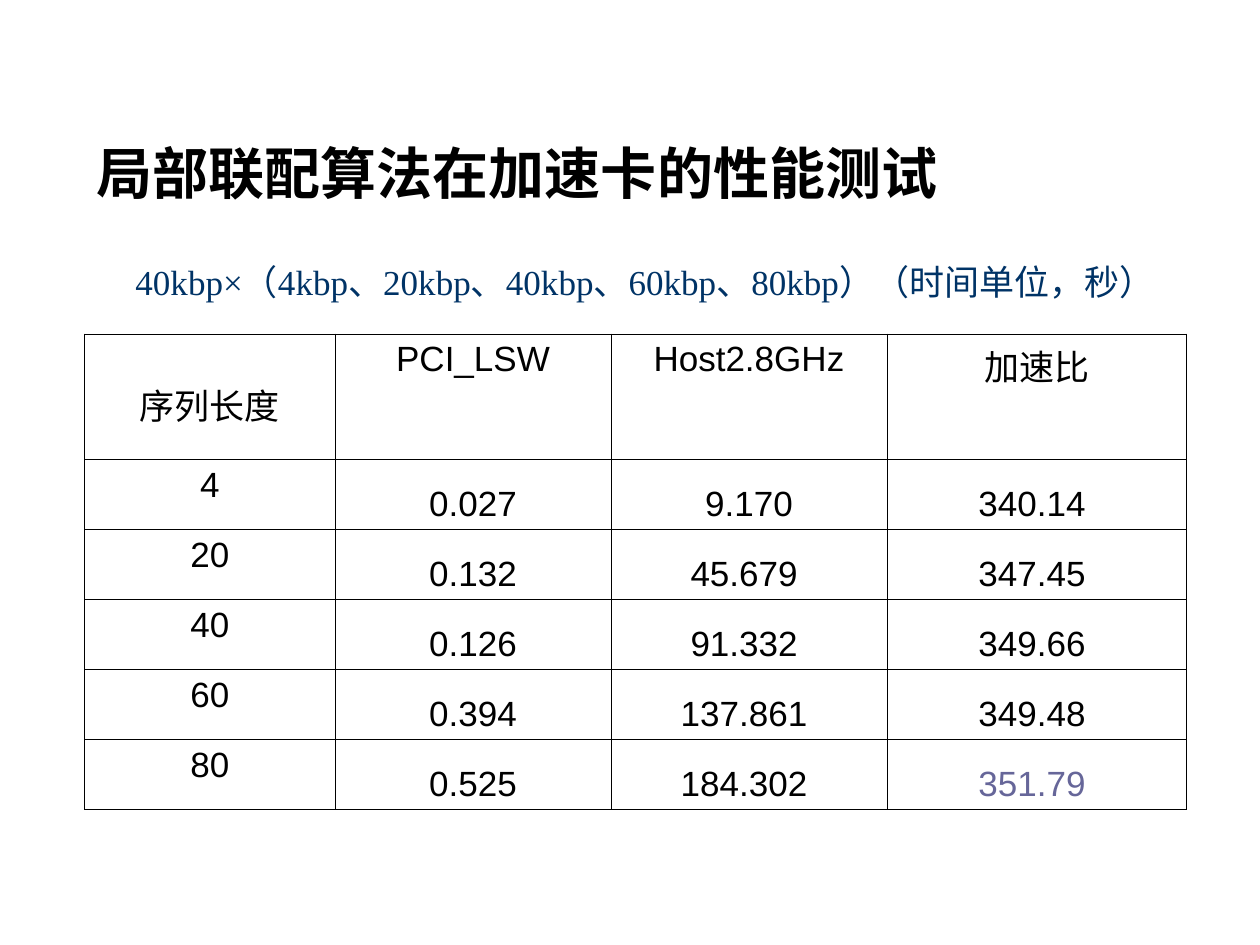
from lxml.etree import SubElement
from pptx import Presentation
from pptx.dml.color import RGBColor
from pptx.enum.text import MSO_ANCHOR as Anchor, PP_ALIGN as Align
from pptx.oxml.ns import qn
from pptx.util import Inches, Pt

BLACK = RGBColor(0x00, 0x00, 0x00)
NAVY = RGBColor(0x00, 0x33, 0x66)
VIOLET = RGBColor(0x66, 0x66, 0x99)

prs = Presentation()
prs.slide_width, prs.slide_height = Inches(10), Inches(7.5)
slide = prs.slides.add_slide(prs.slide_layouts[6])

# One hundredth of the slide's width and height
COL = prs.slide_width / 100
ROW = prs.slide_height / 100
LEFT = 6.7 * COL
WIDTH = 89 * COL


def write(frame, text, size=20, font="Arial", color=BLACK, bold=False,
          align=Align.CENTER, spacing=1.0):
    paragraph = frame.paragraphs[0]
    paragraph.alignment = align
    paragraph.line_spacing = spacing
    run = paragraph.add_run()
    run.text = text
    run.font.size = Pt(size)
    run.font.name = font
    run.font.bold = bold
    run.font.color.rgb = color


def outline(cell):
    """Draw a thin black border on all four sides and leave the cell unfilled."""
    properties = cell._tc.get_or_add_tcPr()
    for side in ("a:lnL", "a:lnR", "a:lnT", "a:lnB"):
        line = SubElement(properties, qn(side), w=str(Pt(0.45)))
        paint = SubElement(line, qn("a:solidFill"))
        SubElement(paint, qn("a:srgbClr"), val=str(BLACK))
    cell.fill.background()


headings = [
    (5.87, 16.67, Anchor.BOTTOM, "局部联配算法在加速卡的性能测试",
     dict(size=32, bold=True, align=Align.LEFT, spacing=0.9)),
    (24.67, 10.27, Anchor.MIDDLE,
     "40kbp×（4kbp、20kbp、40kbp、60kbp、80kbp）（时间单位，秒）",
     dict(font="Times New Roman", color=NAVY)),
]
for top, height, anchor, text, look in headings:
    frame = slide.shapes.add_textbox(
        int(LEFT), int(top * ROW), int(WIDTH), int(height * ROW)).text_frame
    frame.word_wrap = True
    frame.vertical_anchor = anchor
    write(frame, text, **look)

results = [
    ("序列长度", "PCI_LSW", "Host2.8GHz", "加速比"),
    ("4", "0.027", "9.170", "340.14 "),
    ("20", "0.132", "45.679 ", "347.45 "),
    ("40", "0.126", "91.332 ", "349.66 "),
    ("60", "0.394", "137.861 ", "349.48 "),
    ("80", "0.525", "184.302 ", "351.79 "),
]
column_widths = [19.9, 21.9, 21.9, 23.8]
row_heights = [13.33] + [7.41] * 5

table = slide.shapes.add_table(
    len(results), len(column_widths), int(LEFT), int(35.33 * ROW),
    int(sum(column_widths) * COL), int(sum(row_heights) * ROW)).table
table.first_row = table.horz_banding = False
for column, width in zip(table.columns, column_widths):
    column.width = int(width * COL)
for row, height in zip(table.rows, row_heights):
    row.height = int(height * ROW)

for r, values in enumerate(results):
    for c, value in enumerate(values):
        cell = table.cell(r, c)
        measured = r > 0 and c > 0
        cell.vertical_anchor = Anchor.BOTTOM if measured else Anchor.TOP
        best = value == "351.79 "
        write(cell.text_frame, value, color=VIOLET if best else BLACK)
        outline(cell)

# The row label sits one text line lower than the other headers
table.cell(0, 0).margin_top = Inches(0.36)

prs.save("out.pptx")
